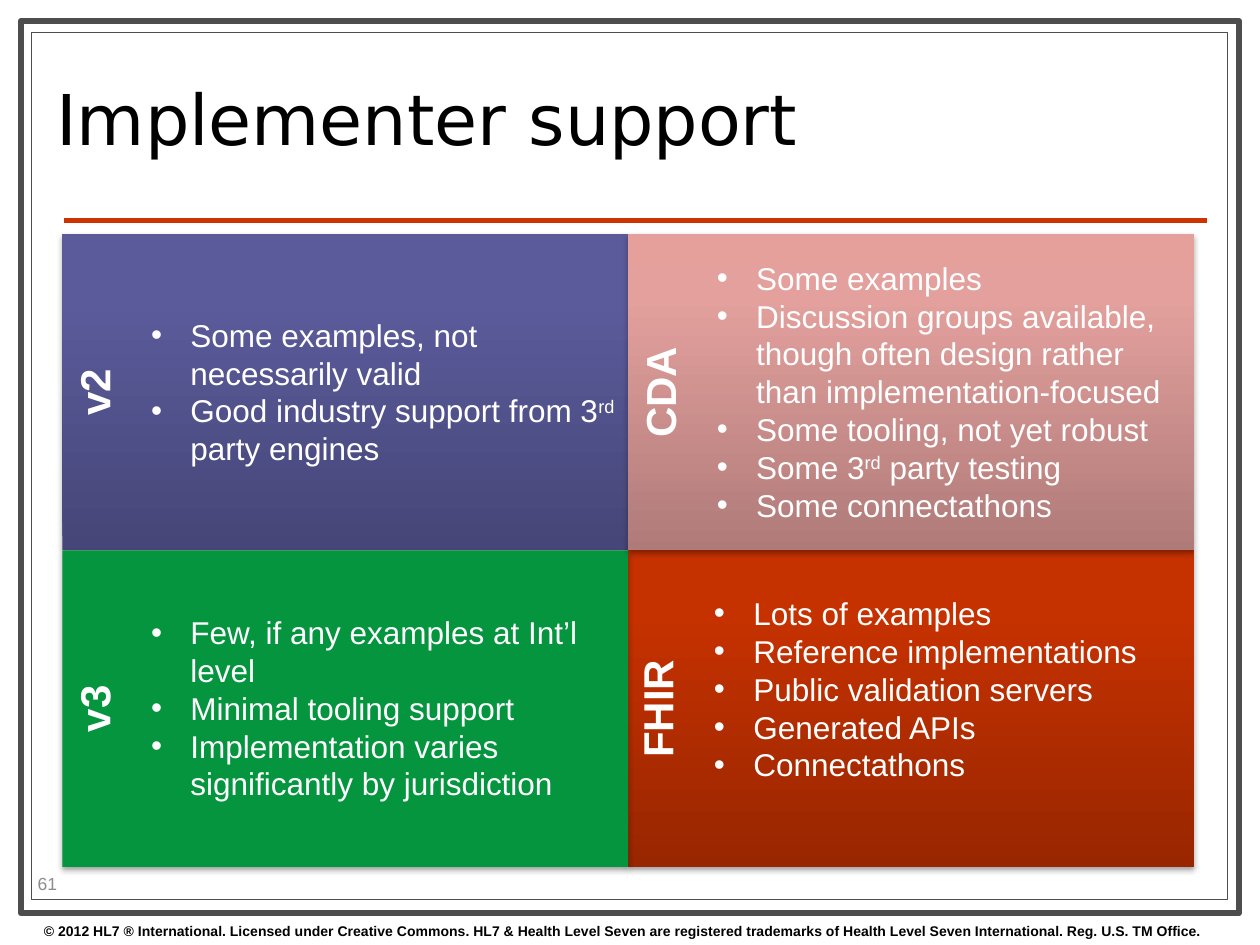
from copy import deepcopy

from lxml.etree import SubElement
from pptx import Presentation
from pptx.dml.color import RGBColor
from pptx.enum.shapes import MSO_CONNECTOR as Connector, MSO_SHAPE as Shape
from pptx.enum.text import MSO_ANCHOR as Anchor, MSO_AUTO_SIZE as AutoSize, PP_ALIGN as Align
from pptx.oxml.ns import qn
from pptx.util import Pt

LABEL_WIDTH = 43.6
LINE_HEIGHT = 21.8
INSETS = 7.2
BULLET_INDENT = 22.5

# Each quadrant: column, row, fill (from bottom to top), label, text shift, lines, bullets
QUADRANTS = [
    (0, 0, ["464678", "5B5B9C", "5B5B9E"], "v2", 0, 4, [
        "Some examples, not necessarily valid",
        "Good industry support from 3^rd^ party engines"]),
    (1, 1, ["982600", "C63100", "C73200"], "FHIR", -1.6, 6, [
        "Lots of examples",
        "Reference implementations",
        "Public validation servers",
        "Generated APIs",
        "Connectathons"]),
    (0, 1, ["05953F"], "v3", 0, 5, [
        "Few, if any examples at Int’l level",
        "Minimal tooling support",
        "Implementation varies significantly by jurisdiction"]),
    (1, 0, ["AF7B79", "E3A09D", "E6A09C"], "CDA", 0, 7, [
        "Some examples",
        "Discussion groups available, though often design rather than implementation-focused",
        "Some tooling, not yet robust",
        "Some 3^rd^ party testing",
        "Some connectathons"]),
]


def rgb(value):
    return RGBColor.from_string(value)


def points(box):
    return [Pt(value) for value in box]


def write(paragraph, text, color="000000", **formats):
    """Add text to a paragraph; parts between ^ marks are superscript."""
    formats = {"name": "Arial", **formats}
    for index, part in enumerate(text.split("^")):
        run = paragraph.add_run()
        run.text = part
        for name, value in formats.items():
            setattr(run.font, name, value)
        run.font.color.rgb = rgb(color)
        if index % 2:
            run._r.get_or_add_rPr().set("baseline", "30000")


def add_text_frame(slide, box, anchor=Anchor.TOP):
    frame = slide.shapes.add_textbox(*points(box)).text_frame
    frame.word_wrap = True
    frame.vertical_anchor = anchor
    return frame


def add_frame(slide, box, line_width):
    shape = slide.shapes.add_shape(Shape.RECTANGLE, *points(box))
    shape.shadow.inherit = False
    shape.fill.solid()
    shape.fill.fore_color.rgb = rgb("FFFFFF")
    shape.line.color.rgb = rgb("4D4D4D")
    shape.line.width = Pt(line_width)


def add_header(slide, box):
    left, top, width, height = box
    # Title, raised above the frames
    title = slide.shapes.title
    title._element.getparent().append(title._element)
    title.left, title.top, title.width, title.height = points((left, top, 516.2, height))
    frame = title.text_frame
    frame.auto_size = AutoSize.NONE
    frame.vertical_anchor = Anchor.MIDDLE
    paragraph = frame.paragraphs[0]
    paragraph.alignment = Align.LEFT
    paragraph.line_spacing = 0.8
    write(paragraph, "Implementer support", name="DejaVu Sans", size=Pt(40))
    # Rule below the title
    rule = slide.shapes.add_connector(
        Connector.STRAIGHT, *points((left + 11.5, 126, left + width, 126)))
    rule.line.color.rgb = rgb("CC3300")
    rule.line.width = Pt(3)
    SubElement(rule._element.spPr, qn("a:effectLst"))


def add_footer(slide, box):
    left, top, width, height = box
    number = add_text_frame(slide, (14.4, 496.1, 56.9, 17.3), Anchor.MIDDLE)
    write(number.paragraphs[0], "61", "8C8C8C", size=Pt(10))
    notice = add_text_frame(slide, (left, top, width, height))
    write(notice.paragraphs[0],
          "© 2012 HL7 ® International. Licensed under Creative Commons. "
          "HL7 & Health Level Seven are registered trademarks of "
          "Health Level Seven International. Reg. U.S. TM Office.",
          size=Pt(8), bold=True)


def fill_shape(shape, colors):
    if len(colors) == 1:
        shape.fill.solid()
        shape.fill.fore_color.rgb = rgb(colors[0])
        return
    shape.fill.gradient()
    shape.fill.gradient_angle = 90
    stop_list = shape._element.spPr.find(".//" + qn("a:gsLst"))
    stop_list.append(deepcopy(stop_list[-1]))
    for stop, color, position in zip(shape.fill.gradient_stops, colors, (0, 0.8, 1)):
        stop.color.rgb = rgb(color)
        stop.position = position


def add_shadow(shape):
    effects = SubElement(shape._element.spPr, qn("a:effectLst"))
    shadow = SubElement(effects, qn("a:outerShdw"), blurRad=str(Pt(3.1)),
                        dist=str(Pt(1.8)), dir="5400000", rotWithShape="0")
    color = SubElement(shadow, qn("a:srgbClr"), val="000000")
    SubElement(color, qn("a:alpha"), val="35000")


def add_panel(slide, box, colors):
    shape = slide.shapes.add_shape(Shape.RECTANGLE, *points(box))
    fill_shape(shape, colors)
    shape.line.fill.background()
    add_shadow(shape)


def add_panel_text(slide, box, label, lines, bullets):
    left, top, width, height = box
    # Upright label
    frame = add_text_frame(slide, (left, top, LABEL_WIDTH, height))
    frame._txBody.bodyPr.set("vert", "vert270")
    frame.paragraphs[0].alignment = Align.CENTER
    write(frame.paragraphs[0], label, "FFFFFF", size=Pt(24), bold=True)
    # Bullets, in a block centred on the panel
    block = lines * LINE_HEIGHT + INSETS
    frame = add_text_frame(slide, (left + LABEL_WIDTH, top + (height - block) / 2,
                                   width - LABEL_WIDTH, block))
    for index, text in enumerate(bullets):
        paragraph = frame.add_paragraph() if index else frame.paragraphs[0]
        properties = paragraph._p.get_or_add_pPr()
        properties.set("marL", str(Pt(BULLET_INDENT)))
        properties.set("indent", str(-Pt(BULLET_INDENT)))
        SubElement(properties, qn("a:buFont"), typeface="Arial")
        SubElement(properties, qn("a:buChar"), char="•")
        write(paragraph, text, "FFFFFF", size=Pt(18))


def add_quadrants(slide, box):
    left, top, width, height = box
    cell_width, cell_height = width / 2, height / 2

    def cell(column, row, shift=0):
        return (left + column * cell_width + shift, top + row * cell_height,
                cell_width, cell_height)

    for column, row, colors, *_ in QUADRANTS:
        add_panel(slide, cell(column, row), colors)
    for column, row, _, label, shift, lines, bullets in QUADRANTS:
        add_panel_text(slide, cell(column, row, shift), label, lines, bullets)


def main():
    presentation = Presentation()
    presentation.slide_width, presentation.slide_height = Pt(720), Pt(540)
    slide = presentation.slides.add_slide(presentation.slide_layouts[5])
    add_frame(slide, (12, 12, 696, 510), 3.5)
    add_frame(slide, (18.2, 18.6, 683.4, 495.4), 0.75)
    add_header(slide, (25, 26, 664.8, 90.7))
    add_quadrants(slide, (35.6, 133.8, 646.6, 361.6))
    add_footer(slide, (18, 523.4, 702, 16.6))
    presentation.save("out.pptx")


if __name__ == "__main__":
    main()
